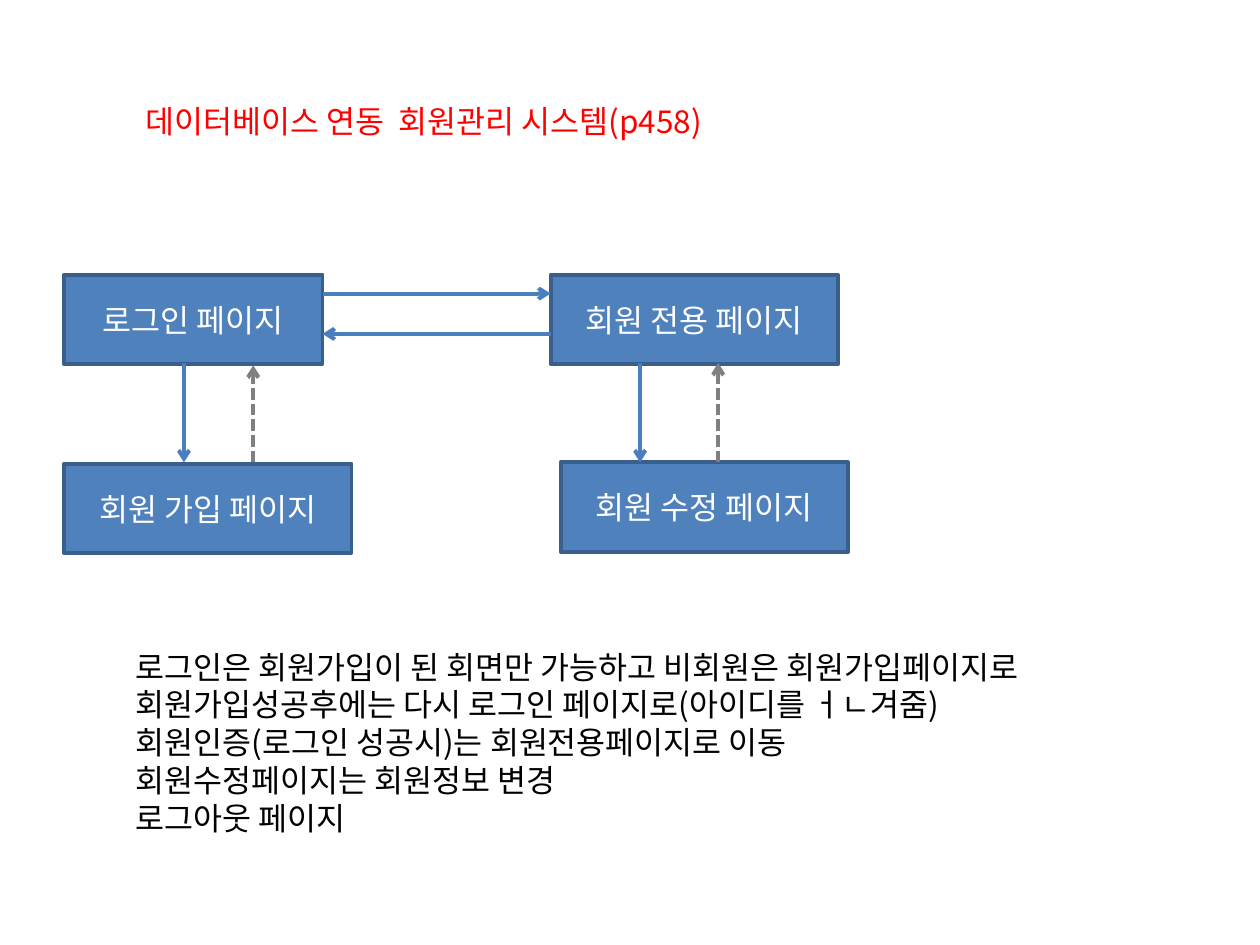
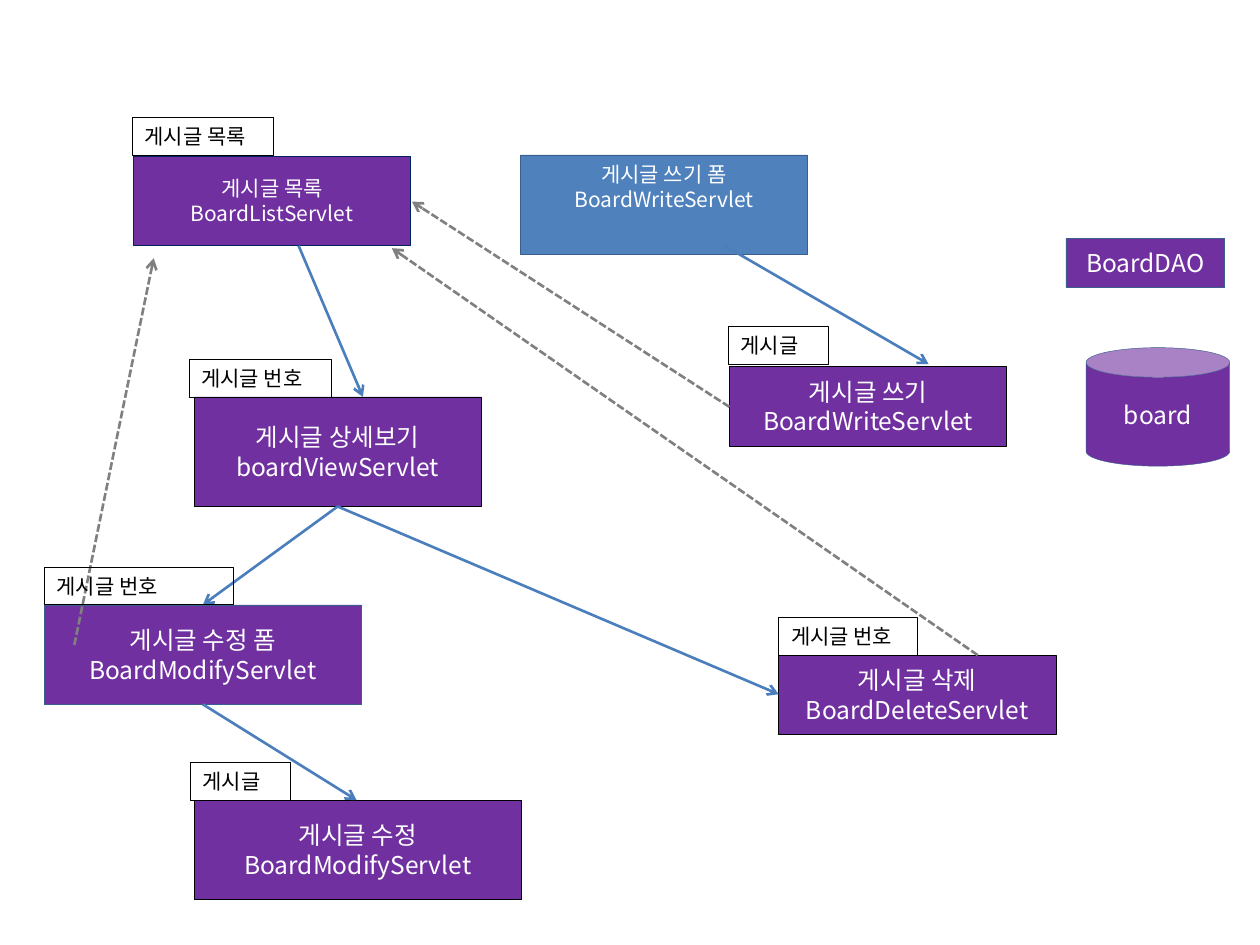
from dataclasses import dataclass

from lxml import etree
from pptx import Presentation
from pptx.dml.color import RGBColor
from pptx.enum import dml, shapes, text
from pptx.oxml import ns
from pptx.util import Inches, Pt


@dataclass(frozen=True)
class Theme:
    font: str = "Noto Sans CJK KR"
    blue: str = "4F81BD"
    edge: str = "3A5F8C"
    arrow: str = "4B7EBC"
    purple: str = "7030A0"
    navy: str = "002060"
    gray: str = "808080"
    red: str = "FF0000"
    black: str = "000000"
    white: str = "FFFFFF"
    large: int = 18
    medium: int = 14
    small: int = 12
    thick: float = 2.25
    mid: float = 1.5
    thin: float = 0.25


T = Theme()
RECT = shapes.MSO_SHAPE.RECTANGLE
CAN = shapes.MSO_SHAPE.CAN
LEFT, CENTER = text.PP_ALIGN.LEFT, text.PP_ALIGN.CENTER
TOP, MIDDLE = text.MSO_ANCHOR.TOP, text.MSO_ANCHOR.MIDDLE


def rgb(value):
    return RGBColor.from_string(value)


def write(frame, paras, size, color, align=LEFT):
    """Fill a frame: one paragraph per item, a line break at each newline."""
    for i, para in enumerate(paras):
        p = frame.paragraphs[0] if i == 0 else frame.add_paragraph()
        p.alignment = align
        for j, line in enumerate(para.split("\n")):
            if j:
                p.add_line_break()
            run = p.add_run()
            run.text = line
            run.font.size = Pt(size)
            run.font.name = T.font
            run.font.color.rgb = rgb(color)
            ea = etree.SubElement(run.font._element, ns.qn("a:ea"))
            ea.set("typeface", T.font)


def add_box(slide, at, paras, size, fill=T.purple, edge=T.black, width=T.thin,
            anchor=MIDDLE, kind=RECT):
    box = slide.shapes.add_shape(kind, *map(Inches, at))
    box.shadow.inherit = False
    box.fill.solid()
    box.fill.fore_color.rgb = rgb(fill)
    box.line.color.rgb = rgb(edge)
    box.line.width = Pt(width)
    box.text_frame.word_wrap = True
    box.text_frame.vertical_anchor = anchor
    write(box.text_frame, paras, size, T.white, CENTER)


def add_tag(slide, x, y, w, label):
    """Outlined label that sits on top of a box."""
    tag = slide.shapes.add_textbox(*map(Inches, (x, y, w, 0.3)))
    tag.line.color.rgb = rgb(T.black)
    tag.line.width = Pt(T.thin)
    tag.text_frame.word_wrap = True
    tag.text_frame.auto_size = text.MSO_AUTO_SIZE.SHAPE_TO_FIT_TEXT
    write(tag.text_frame, [label], T.small, T.black)


def add_note(slide, at, paras, color):
    note = slide.shapes.add_textbox(*map(Inches, at))
    note.text_frame.word_wrap = False
    note.text_frame.auto_size = text.MSO_AUTO_SIZE.SHAPE_TO_FIT_TEXT
    write(note.text_frame, paras, T.large, color)


def add_arrow(slide, ends, width, back=False):
    """Solid blue arrow; a way back is dashed and gray."""
    arrow = slide.shapes.add_connector(
        shapes.MSO_CONNECTOR.STRAIGHT, *map(Inches, ends))
    arrow.line.color.rgb = rgb(T.gray if back else T.arrow)
    arrow.line.width = Pt(width)
    if back:
        arrow.line.dash_style = dml.MSO_LINE.SQUARE_DOT
    props = arrow._element.spPr
    tail = etree.SubElement(props.find(ns.qn("a:ln")), ns.qn("a:tailEnd"))
    tail.set("type", "arrow")
    etree.SubElement(props, ns.qn("a:effectLst"))


def add_member(slide):
    # Heading
    add_note(slide, (1.06, 0.76, 5.07, 0.4),
             ["데이터베이스 연동  회원관리 시스템(p458)"], T.red)

    # Pages
    for x, y, w, name in (
            (0.51, 2.18, 2.05, "로그인 페이지"),
            (4.37, 2.18, 2.28, "회원 전용 페이지"),
            (0.51, 3.68, 2.28, "회원 가입 페이지"),
            (4.45, 3.67, 2.28, "회원 수정 페이지")):
        add_box(slide, (x, y, w, 0.71), [name], T.large, T.blue, T.edge, T.thick)

    # Moves between pages
    for ends in ((2.56, 2.33, 4.37, 2.33), (4.37, 2.65, 2.56, 2.65),
                 (1.46, 2.88, 1.46, 3.67), (5.08, 2.88, 5.08, 3.67)):
        add_arrow(slide, ends, T.thick)
    for ends in ((2.01, 3.67, 2.01, 2.9), (5.7, 3.67, 5.7, 2.88)):
        add_arrow(slide, ends, T.thick, back=True)

    # Rules
    add_note(slide, (0.98, 5.09, 8.06, 1.62), [
        "로그인은 회원가입이 된 회면만 가능하고 비회원은 회원가입페이지로\n"
        "회원가입성공후에는 다시 로그인 페이지로(아이디를 ㅓㄴ겨줌)",
        "회원인증(로그인 성공시)는 회원전용페이지로 이동",
        "회원수정페이지는 회원정보 변경",
        "로그아웃 페이지"], T.black)


def add_board(slide):
    # Servlets
    add_box(slide, (4.13, 1.23, 2.28, 0.79), ["게시글 쓰기 폼", "BoardWriteServlet"],
            T.small, T.blue, T.edge, anchor=TOP)
    add_box(slide, (1.06, 1.24, 2.2, 0.71), ["게시글 목록", "BoardListServlet"],
            T.small, edge=T.navy)
    for at, name, servlet, edge in (
            ((1.54, 3.15, 2.28, 0.87), "게시글 상세보기", "boardViewServlet", T.black),
            ((0.35, 4.8, 2.52, 0.79), "게시글 수정 폼", "BoardModifyServlet", T.edge),
            ((6.18, 5.2, 2.2, 0.63), "게시글 삭제", "BoardDeleteServlet", T.black),
            ((5.79, 2.91, 2.2, 0.63), "게시글 쓰기", "BoardWriteServlet", T.black),
            ((1.54, 6.35, 2.6, 0.79), "게시글 수정", "BoardModifyServlet", T.black)):
        add_box(slide, at, [name, servlet], T.medium, edge=edge)

    # Data access and table
    add_box(slide, (8.46, 1.89, 1.26, 0.39), ["BoardDAO"], T.medium, edge=T.edge)
    add_box(slide, (8.62, 2.76, 1.14, 0.94), ["board"], T.medium, edge=T.edge, kind=CAN)

    # Requests and ways back to the list
    for ends in ((2.37, 1.95, 2.88, 3.15), (2.68, 4.02, 1.61, 4.8),
                 (2.68, 4.02, 6.18, 5.51), (5.75, 1.95, 7.37, 2.89),
                 (1.61, 5.59, 2.83, 6.35)):
        add_arrow(slide, ends, T.mid)
    for ends in ((0.59, 5.12, 1.22, 2.05), (7.76, 5.2, 3.11, 1.97),
                 (5.79, 3.23, 3.27, 1.6)):
        add_arrow(slide, ends, T.mid, back=True)

    # Data passed to each servlet
    for x, y, w, label in (
            (1.05, 0.93, 1.12, "게시글 목록"),
            (1.5, 2.85, 1.13, "게시글 번호"),
            (0.35, 4.5, 1.5, "게시글 번호"),
            (6.18, 4.9, 1.1, "게시글 번호"),
            (5.78, 2.59, 0.79, "게시글"),
            (1.51, 6.05, 0.79, "게시글")):
        add_tag(slide, x, y, w, label)


def main():
    deck = Presentation()
    deck.slide_width, deck.slide_height = Inches(10), Inches(7.5)
    blank = deck.slide_layouts[6]
    for build in (add_member, add_board):
        build(deck.slides.add_slide(blank))
    deck.save("out.pptx")


if __name__ == "__main__":
    main()
